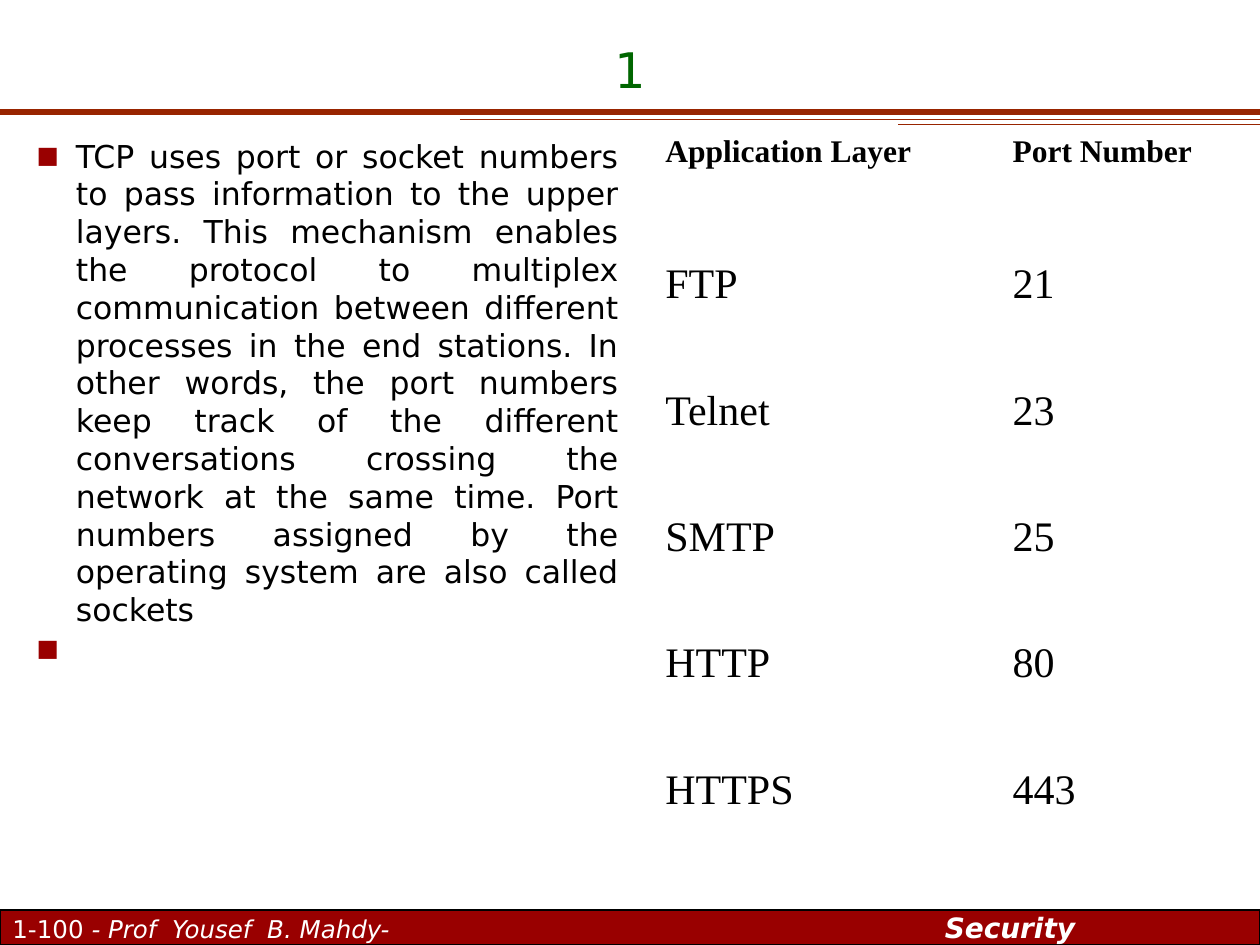
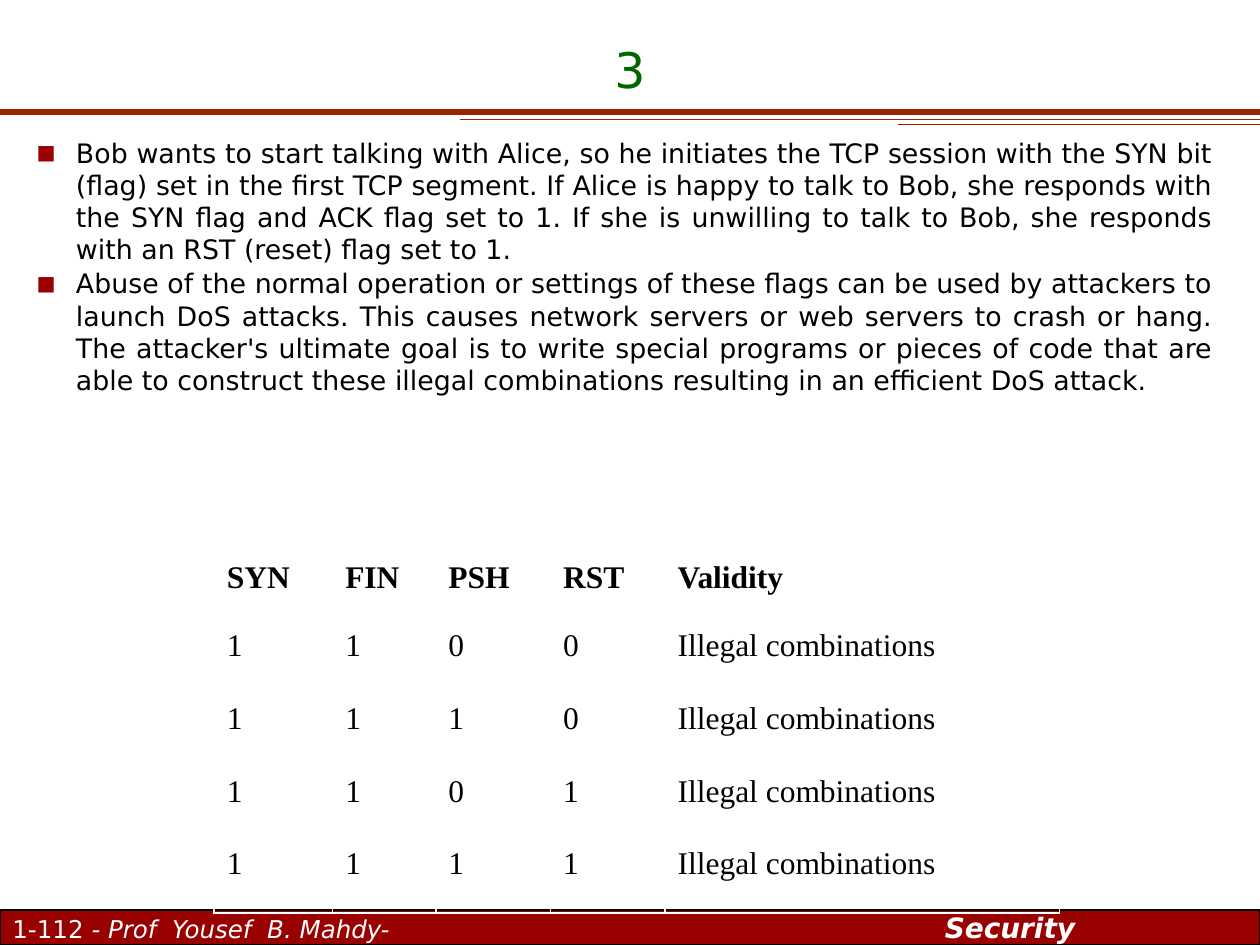
"""Build two slides on TCP: port numbers and illegal flag combinations."""
from lxml import etree
from pptx import Presentation
from pptx import util as u
from pptx.dml.color import RGBColor
from pptx.enum import shapes, text
from pptx.oxml.ns import qn

Pt = u.Pt
SANS, SERIF = "DejaVu Sans", "Times New Roman"
RED, RUST, GREEN, BLACK, WHITE = "990000", "982400", "006600", "000000", "FFFFFF"
WIDE = 720
RULES = [(0, 64.08, 3), (262.8, 68.4, 0.75), (513.4, 71.28, 0.75)]


def rgb(code):
    return RGBColor.from_string(code)


def style(font, size, face, color, bold=False):
    font.size, font.name, font.bold = Pt(size), face, bold
    font.color.rgb = rgb(color)


pages = [
    dict(
        title="1", foot="1-100", size=18, body=(13.68, 74.5, 347, 432.5),
        items=[
            "TCP uses port or socket numbers to pass information to the upper layers. "
            "This mechanism enables the protocol to multiplex communication between "
            "different processes in the end stations. In other words, the port numbers "
            "keep track of the different conversations crossing the network at the same "
            "time. Port numbers assigned by the operating system are also called sockets",
            " ",
        ],
        spot=(373, 73.44), cols=[198.5, 148.5], head=72.25, row=72.25, cell=24,
        rows=[("Application Layer", "Port Number"), ("FTP", "21"), ("Telnet", "23"),
              ("SMTP", "25"), ("HTTP", "80"), ("HTTPS", "443")],
    ),
    dict(
        title="3", foot="1-112", size=15.3, body=(13.68, 74.5, 686.9, 167.5),
        items=[
            "Bob wants to start talking with Alice, so he initiates the TCP session with "
            "the SYN bit (flag) set in the first TCP segment. If Alice is happy to talk to "
            "Bob, she responds with the SYN flag and ACK flag set to 1. If she is unwilling "
            "to talk to Bob, she responds with an RST (reset) flag set to 1.",
            "Abuse of the normal operation or settings of these flags can be used by "
            "attackers to launch DoS attacks. This causes network servers or web servers to "
            "crash or hang. The attacker's ultimate goal is to write special programs or "
            "pieces of code that are able to construct these illegal combinations resulting "
            "in an efficient DoS attack.",
        ],
        spot=(122.4, 316.8), cols=[67.7, 59, 65.5, 65.5, 225.4], head=38.9, row=41.5, cell=18,
        rows=[("SYN", "FIN", "PSH", "RST", "Validity")]
        + [(*bits, "Illegal combinations") for bits in ("1100", "1110", "1101", "1111")],
    ),
]

prs = Presentation()
prs.slide_width, prs.slide_height = Pt(WIDE), Pt(540)

for page in pages:
    slide = prs.slides.add_slide(prs.slide_layouts[1])

    for left, top, width in RULES:
        rule = slide.shapes.add_connector(
            shapes.MSO_CONNECTOR.STRAIGHT, Pt(left), Pt(top), Pt(WIDE), Pt(top))
        rule.line.color.rgb, rule.line.width = rgb(RUST), Pt(width)
        etree.SubElement(rule._element.spPr, qn("a:effectLst"))

    bar = slide.shapes.add_shape(
        shapes.MSO_SHAPE.RECTANGLE, 0, Pt(519.84), Pt(WIDE), Pt(20.16))
    bar.shadow.inherit = False
    bar.fill.solid()
    bar.fill.fore_color.rgb = rgb(RED)
    bar.line.color.rgb, bar.line.width = rgb(BLACK), Pt(1)
    frame = bar.text_frame
    frame.margin_top = frame.margin_bottom = 0
    frame.vertical_anchor = text.MSO_ANCHOR.MIDDLE
    para = frame.paragraphs[0]
    para.alignment = text.PP_ALIGN.LEFT
    tabs = etree.SubElement(para._p.get_or_add_pPr(), qn("a:tabLst"))
    etree.SubElement(tabs, qn("a:tab"), pos=str(Pt(532.8)), algn="l")
    for words, size, bold, slant in [
            (page["foot"], 14, False, False),
            (" - Prof  Yousef  B. Mahdy-", 14, False, True),
            ("\tSecurity", 16, True, True)]:
        run = para.add_run()
        run.text = words
        style(run.font, size, SANS, WHITE, bold)
        run.font.italic = slant

    title = slide.shapes.title
    title.left, title.top, title.width, title.height = 0, Pt(18), Pt(WIDE), Pt(41.76)
    frame = title.text_frame
    frame.text = page["title"]
    frame.auto_size = text.MSO_AUTO_SIZE.NONE
    frame.vertical_anchor = text.MSO_ANCHOR.BOTTOM
    frame.paragraphs[0].alignment = text.PP_ALIGN.CENTER
    style(frame.paragraphs[0].font, 28, SANS, GREEN)

    body = slide.placeholders[1]
    body.left, body.top, body.width, body.height = map(Pt, page["body"])
    frame = body.text_frame
    frame.text = "\n".join(page["items"])
    frame.auto_size = text.MSO_AUTO_SIZE.NONE
    for i, para in enumerate(frame.paragraphs):
        para.alignment = text.PP_ALIGN.JUSTIFY
        para.space_before = Pt(1.1 if i else 0)
        props = para._p.get_or_add_pPr()
        props.set("marL", str(Pt(22.5)))
        props.set("indent", str(Pt(-22.5)))
        tint = etree.SubElement(props, qn("a:buClr"))
        etree.SubElement(tint, qn("a:srgbClr"), val=RED)
        etree.SubElement(props, qn("a:buSzPct"), val="75000")
        etree.SubElement(props, qn("a:buFont"), typeface=SANS)
        etree.SubElement(props, qn("a:buChar"), char="■")
        style(para.font, page["size"], SANS, BLACK)

    rows, cols = page["rows"], page["cols"]
    high = page["head"] + page["row"] * (len(rows) - 1)
    grid = slide.shapes.add_table(
        len(rows), len(cols), *map(Pt, page["spot"]), Pt(sum(cols)), Pt(high)).table
    grid.first_row = grid.horz_banding = False
    for col, width in zip(grid.columns, cols):
        col.width = Pt(width)
    for r, row in enumerate(rows):
        grid.rows[r].height = Pt(page["row"] if r else page["head"])
        for c, words in enumerate(row):
            cell = grid.cell(r, c)
            cell.fill.background()
            cell.text = words
            style(cell.text_frame.paragraphs[0].font,
                  page["cell"] if r else 18, SERIF, BLACK, not r)

prs.save("out.pptx")
